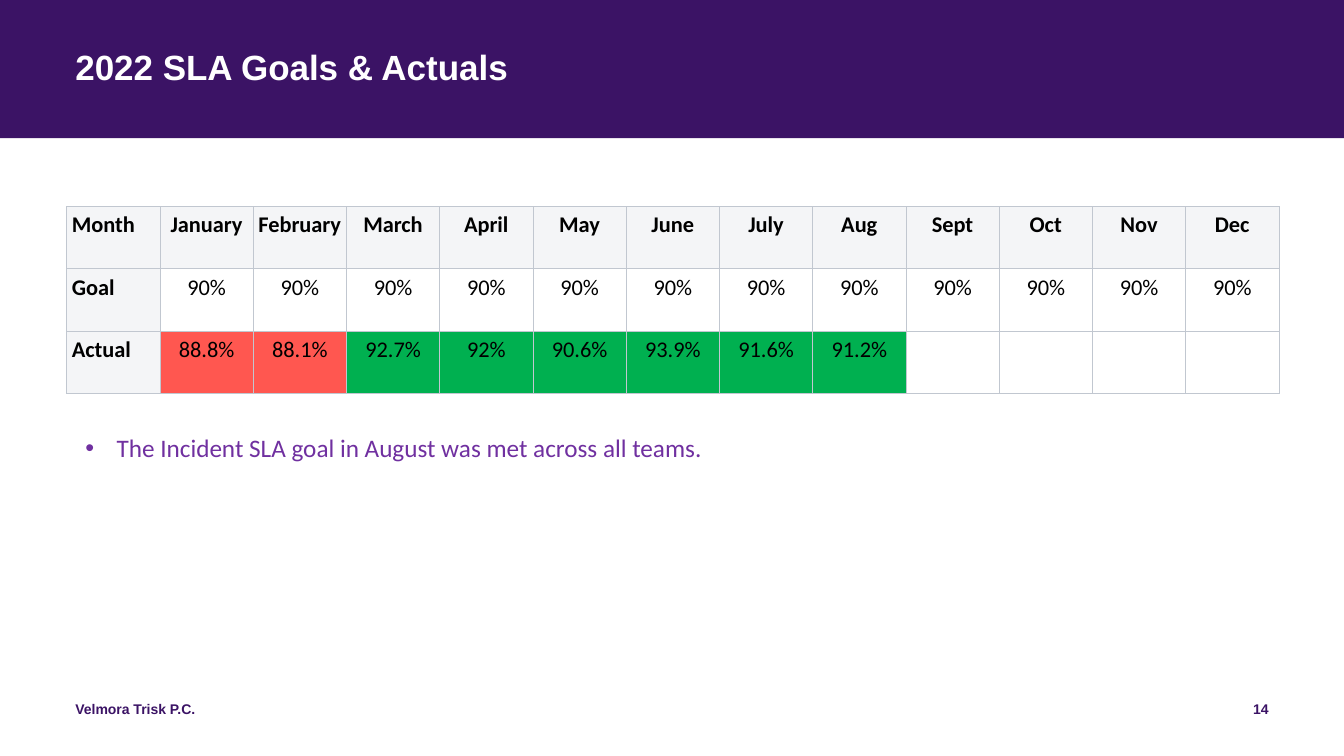
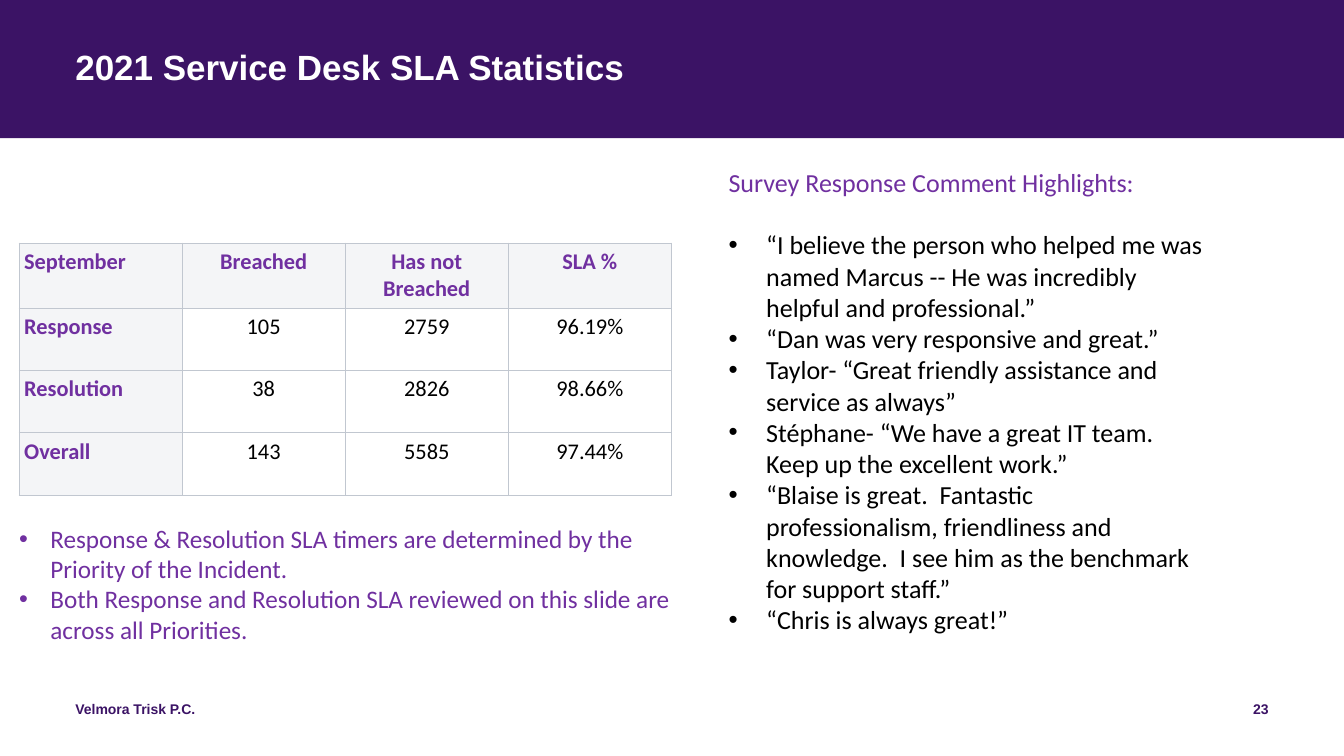
"""Build two service desk SLA slides that share a title band and a footer."""
from lxml import etree
from pptx import Presentation
from pptx.dml.color import RGBColor
from pptx.enum.shapes import MSO_SHAPE
from pptx.enum.text import MSO_ANCHOR, MSO_AUTO_SIZE, PP_ALIGN
from pptx.oxml.ns import qn
from pptx.util import Cm, Pt

RECTANGLE = MSO_SHAPE.RECTANGLE
TOP = MSO_ANCHOR.TOP
NO_AUTOFIT = MSO_AUTO_SIZE.NONE
LEFT, CENTER, RIGHT = PP_ALIGN.LEFT, PP_ALIGN.CENTER, PP_ALIGN.RIGHT

rgb = RGBColor.from_string
INDIGO, PURPLE, BLACK, WHITE = "3B1365", "7030A0", "000000", "FFFFFF"
HEADER_GREY, BORDER_GREY = "F4F5F7", "C1C7D0"
MISSED_RED, MET_GREEN = "FF5750", "00B050"

TITLE_FONT = {"name": "Arial", "size": Pt(25), "bold": True}
FOOTER_FONT = {"name": "Arial", "size": Pt(10), "bold": True}
LABEL_FONT = {"name": "Calibri", "size": Pt(16), "bold": True}
VALUE_FONT = {"name": "Calibri", "size": Pt(16), "bold": False}
NOTE_FONT = {"name": "Calibri", "size": Pt(18), "bold": False}
SURVEY_FONT = {"name": "Calibri", "size": Pt(18.6), "bold": False}

SLIDE_WIDTH, SLIDE_HEIGHT = Cm(33.87), Cm(19.05)
MARGIN = Cm(1.9)
CONTENT_WIDTH = SLIDE_WIDTH - 2 * MARGIN
FOOTER_TOP, FOOTER_HEIGHT = Cm(17.65), Cm(1.02)
ROW_HEIGHT = Cm(1.57)
CELL_MARGIN = Cm(0.13)
SLA_GOAL = 90

MONTHS = ["January", "February", "March", "April", "May", "June",
          "July", "Aug", "Sept", "Oct", "Nov", "Dec"]
ACTUALS = ["88.8%", "88.1%", "92.7%", "92%", "90.6%", "93.9%", "91.6%", "91.2%"]

SLIDES = [
    {
        "title": "2022 SLA Goals & Actuals",
        "number": "14",
        "table_at": (Cm(1.68), Cm(5.2)),
        "column_width": Cm(2.35),
        "label_color": BLACK,
        "rows": [
            ["Month"] + MONTHS,
            ["Goal"] + [f"{SLA_GOAL}%"] * len(MONTHS),
            ["Actual"] + ACTUALS + [""] * (len(MONTHS) - len(ACTUALS)),
        ],
        "notes": [
            {
                "box": (MARGIN, Cm(10.77), CONTENT_WIDTH, Cm(1.02)),
                "font": NOTE_FONT, "color": PURPLE, "indent": Cm(0.79),
                "points": ["The Incident SLA goal in August was met across all teams."],
            },
        ],
    },
    {
        "title": "2021 Service Desk SLA Statistics",
        "number": "23",
        "table_at": (Cm(0.48), Cm(6.12)),
        "column_width": Cm(4.11),
        "label_color": PURPLE,
        "rows": [
            ["September", "Breached", "Has not Breached", "SLA %"],
            ["Response", "105", "2759", "96.19%"],
            ["Resolution", "38", "2826", "98.66%"],
            ["Overall", "143", "5585", "97.44%"],
        ],
        "notes": [
            {
                "box": (Cm(0.23), Cm(13.06), Cm(16.97), Cm(3.33)),
                "font": NOTE_FONT, "color": PURPLE, "indent": Cm(0.79),
                "points": [
                    "Response & Resolution SLA timers are determined by the Priority of the Incident.",
                    "Both Response and Resolution SLA reviewed on this slide are across all Priorities.",
                ],
            },
            {
                "box": (Cm(18.11), Cm(4.06), Cm(12.47), Cm(12.98)),
                "font": SURVEY_FONT, "color": BLACK, "indent": Cm(0.95),
                "heading": "Survey Response Comment Highlights:",
                "points": [
                    "“I believe the person who helped me was named Marcus -- He was incredibly helpful and professional.”",
                    "“Dan was very responsive and great.”",
                    "Taylor- “Great friendly assistance and service as always”",
                    "Stéphane- “We have a great IT team.  Keep up the excellent work.”",
                    "“Blaise is great.  Fantastic professionalism, friendliness and knowledge.  I see him as the benchmark for support staff.”",
                    "“Chris is always great!”",
                ],
            },
        ],
    },
]


def write(paragraph, text, font, color, align=LEFT, indent=None):
    """Fill a paragraph with one formatted run, bulleted if an indent is given."""
    paragraph.alignment = align
    if indent:
        properties = paragraph._p.get_or_add_pPr()
        properties.set("marL", str(indent))
        properties.set("indent", str(-indent))
        etree.SubElement(properties, qn("a:buFont")).set("typeface", "Arial")
        etree.SubElement(properties, qn("a:buChar")).set("char", "•")
    run = paragraph.add_run()
    run.text = text
    for attribute, value in font.items():
        setattr(run.font, attribute, value)
    run.font.color.rgb = rgb(color)


def add_borders(cell):
    """Draw a thin grey line on each side of a table cell."""
    properties = cell._tc.get_or_add_tcPr()
    for side in ("a:lnL", "a:lnR", "a:lnT", "a:lnB"):
        line = etree.SubElement(properties, qn(side), w=str(Pt(0.5)))
        solid = etree.SubElement(line, qn("a:solidFill"))
        etree.SubElement(solid, qn("a:srgbClr")).set("val", BORDER_GREY)


prs = Presentation()
prs.slide_width, prs.slide_height = SLIDE_WIDTH, SLIDE_HEIGHT
title_only = prs.slide_layouts[5]

for content in SLIDES:
    slide = prs.slides.add_slide(title_only)

    band = slide.shapes.add_shape(RECTANGLE, 0, 0, SLIDE_WIDTH, Cm(3.48))
    band.shadow.inherit = False
    band.fill.solid()
    band.fill.fore_color.rgb = rgb(INDIGO)
    band.line.fill.background()
    slide.shapes.element.insert(2, band.element)

    title = slide.shapes.title
    title.left, title.top, title.width, title.height = MARGIN, Cm(1.27), CONTENT_WIDTH, Cm(2.06)
    write(title.text_frame.paragraphs[0], content["title"], TITLE_FONT, WHITE)
    title.text_frame.paragraphs[0].line_spacing = 0.9

    firm = slide.shapes.add_textbox(MARGIN, FOOTER_TOP, Cm(11.43), FOOTER_HEIGHT)
    write(firm.text_frame.paragraphs[0], "Velmora Trisk P.C.", FOOTER_FONT, INDIGO)
    number_width = Cm(7.62)
    number = slide.shapes.add_textbox(
        SLIDE_WIDTH - MARGIN - number_width, FOOTER_TOP, number_width, FOOTER_HEIGHT)
    write(number.text_frame.paragraphs[0], content["number"], FOOTER_FONT, INDIGO, RIGHT)

    for unpadded in (title, firm, number):
        frame_format = {"margin_left": 0, "margin_right": 0, "margin_top": 0, "margin_bottom": 0,
                        "vertical_anchor": TOP, "word_wrap": True, "auto_size": NO_AUTOFIT}
        for attribute, value in frame_format.items():
            setattr(unpadded.text_frame, attribute, value)

    rows = content["rows"]
    column_count = len(rows[0])
    sla_table = slide.shapes.add_table(
        len(rows), column_count, *content["table_at"],
        content["column_width"] * column_count, ROW_HEIGHT * len(rows)).table
    sla_table.first_row = sla_table.horz_banding = False
    for column in sla_table.columns:
        column.width = content["column_width"]
    for row_index, row in enumerate(rows):
        sla_table.rows[row_index].height = ROW_HEIGHT
        for column_index, text in enumerate(row):
            cell = sla_table.cell(row_index, column_index)
            for side in ("left", "right", "top", "bottom"):
                setattr(cell, f"margin_{side}", CELL_MARGIN)
            add_borders(cell)

            is_label = row_index == 0 or column_index == 0
            fill_color = HEADER_GREY if is_label else None
            if row[0] == "Actual" and text and not is_label:
                fill_color = MET_GREEN if float(text.rstrip("%")) >= SLA_GOAL else MISSED_RED
            if fill_color:
                cell.fill.solid()
                cell.fill.fore_color.rgb = rgb(fill_color)
            else:
                cell.fill.background()

            if text:
                write(cell.text_frame.paragraphs[0], text,
                      LABEL_FONT if is_label else VALUE_FONT,
                      content["label_color"] if is_label else BLACK,
                      CENTER if column_index else LEFT)

    for note in content["notes"]:
        note_frame = slide.shapes.add_textbox(*note["box"]).text_frame
        note_frame.word_wrap = True
        paragraph = note_frame.paragraphs[0]
        if "heading" in note:
            write(paragraph, note["heading"], note["font"], PURPLE)
            paragraph.space_after = Pt(22.6)
            paragraph = note_frame.add_paragraph()
        for point_index, point in enumerate(note["points"]):
            if point_index:
                paragraph = note_frame.add_paragraph()
            write(paragraph, point, note["font"], note["color"], indent=note["indent"])

prs.save("out.pptx")
